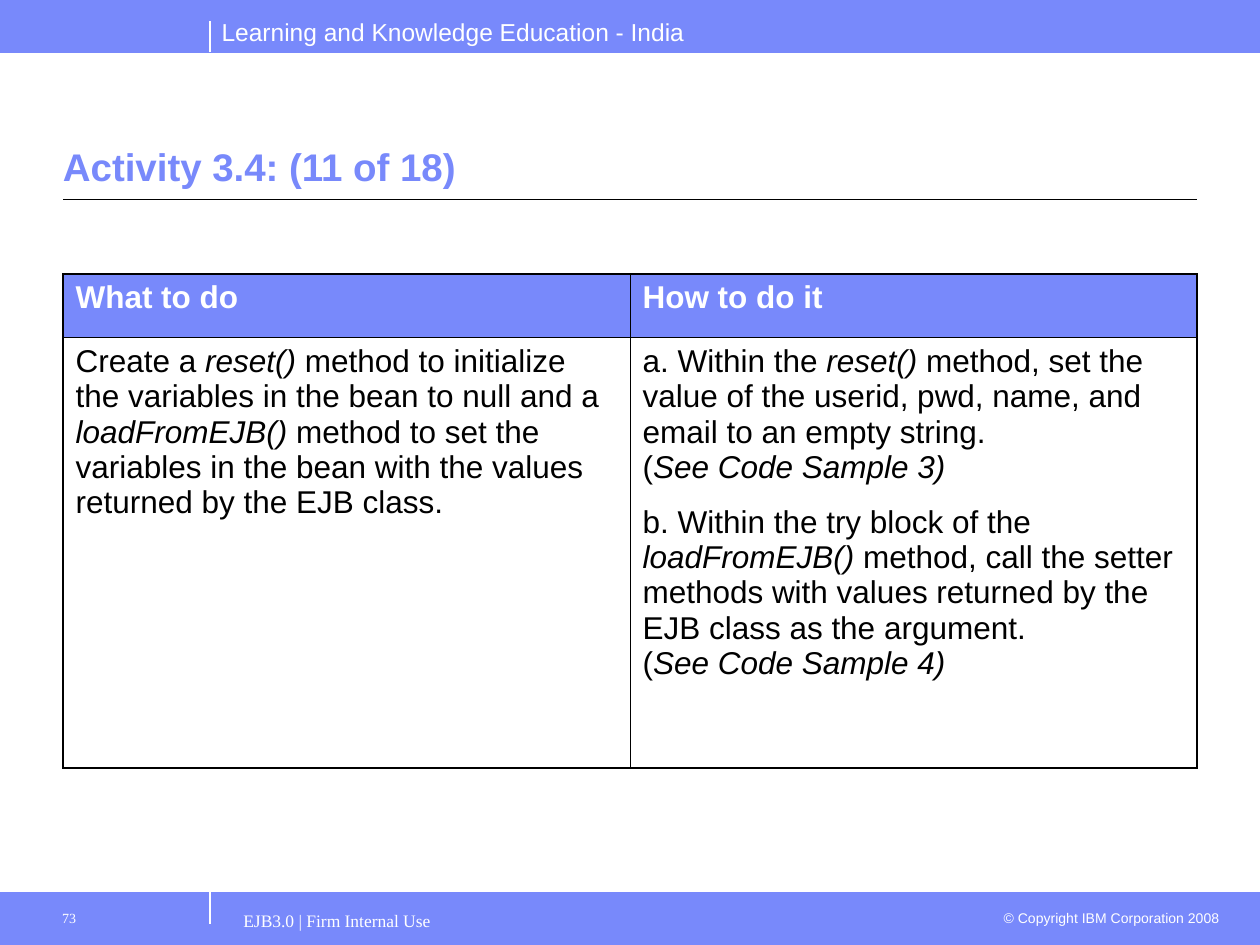
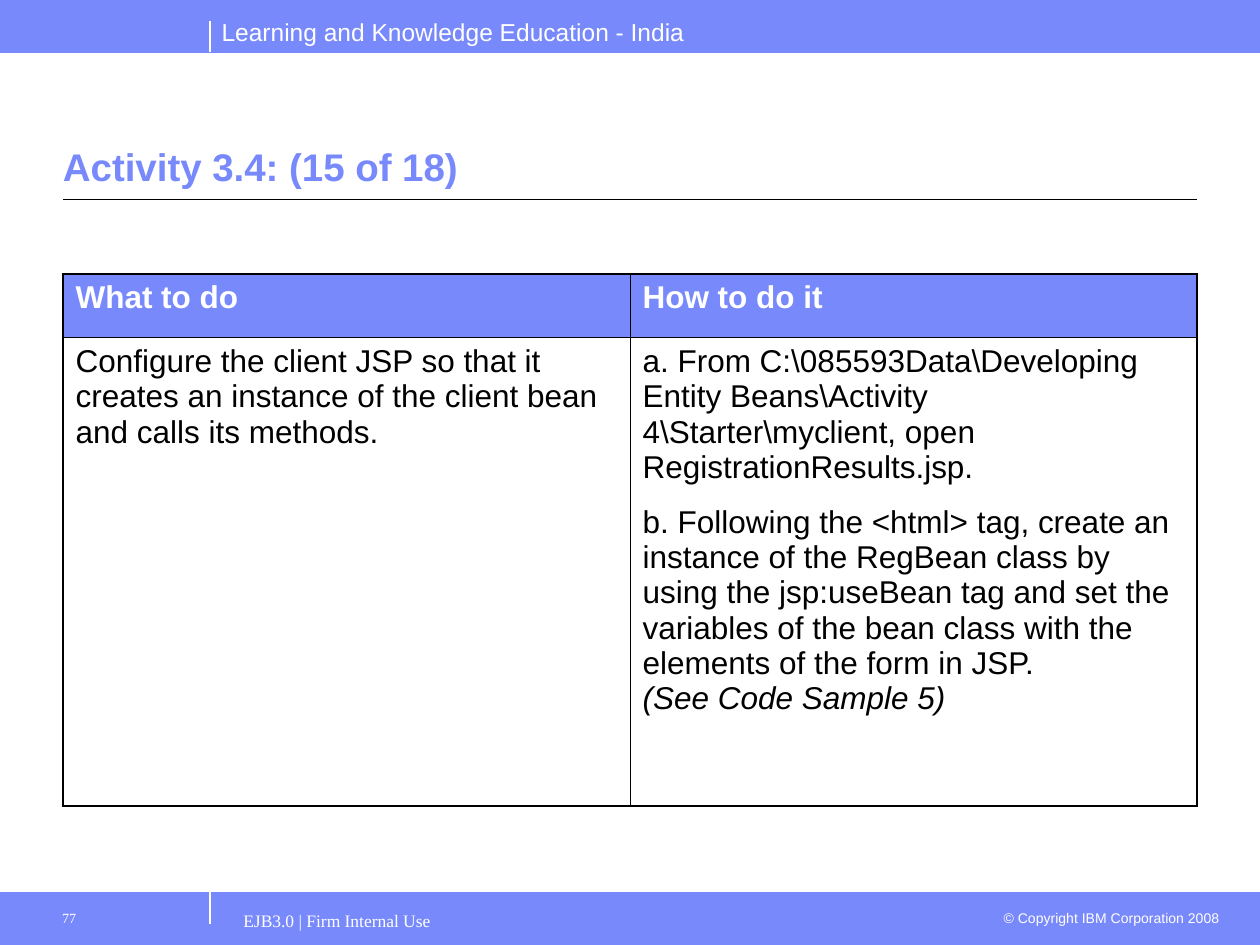
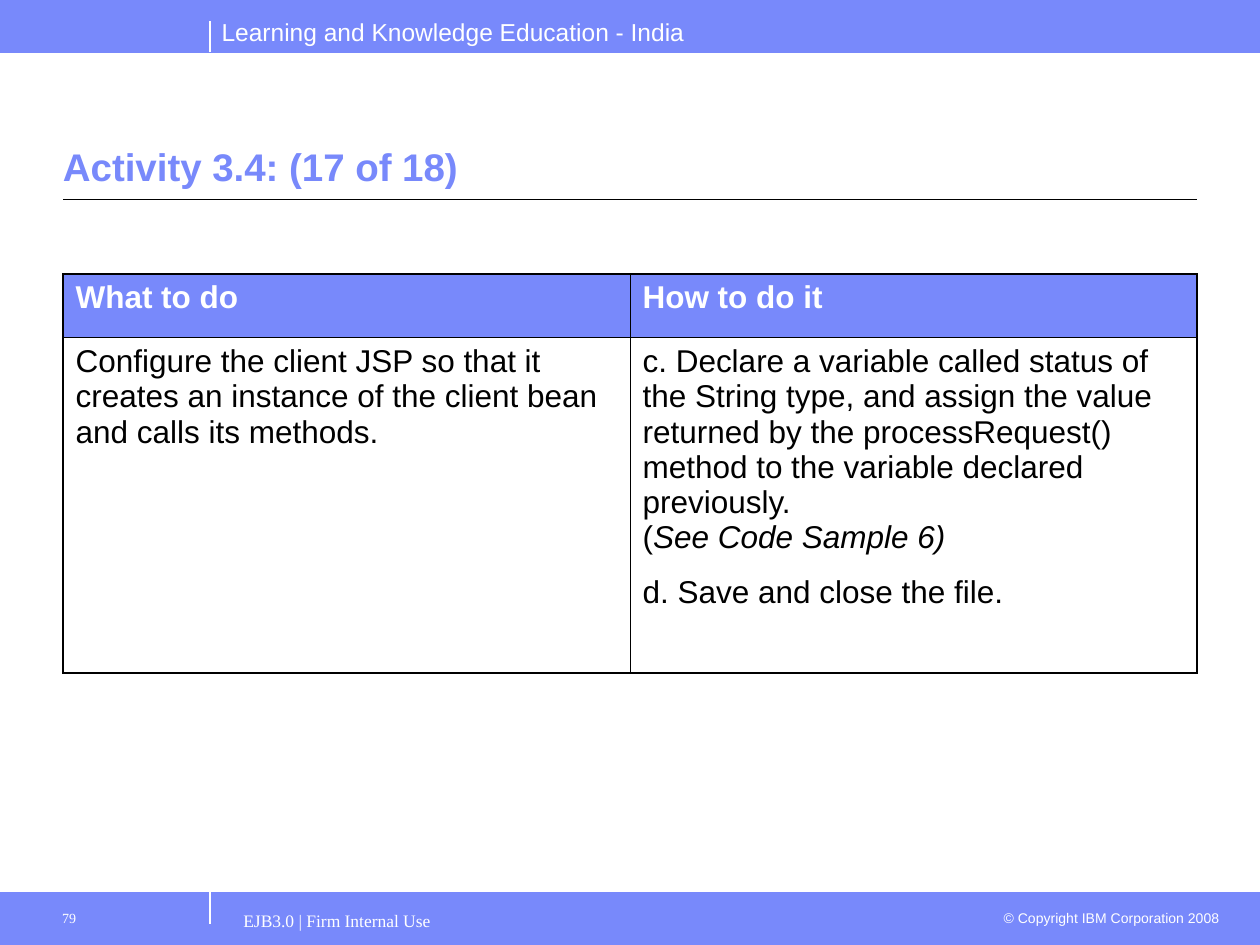
from lxml.etree import SubElement
from pptx import Presentation
from pptx.dml.color import RGBColor
from pptx.enum.shapes import MSO_CONNECTOR, MSO_SHAPE
from pptx.enum.text import MSO_ANCHOR, PP_ALIGN
from pptx.oxml.ns import qn
from pptx.util import Pt

BLUE = RGBColor(0x78, 0x89, 0xFB)
WHITE = RGBColor(0xFF, 0xFF, 0xFF)
BLACK = RGBColor(0x00, 0x00, 0x00)
SANS = "Arial"
SERIF = "Times New Roman"

PAGE_WIDTH, PAGE_HEIGHT = 720, 540
BAND_HEIGHT = 30
FOOTER_TOP = PAGE_HEIGHT - BAND_HEIGHT
DIVIDER_LEFT = 120
MARGIN = 36
CONTENT_WIDTH = PAGE_WIDTH - 2 * MARGIN
TABLE_TOP = 156.5
HEADER_ROW_HEIGHT = 36.5
OUTER_BORDER, INNER_BORDER = 1.08, 0.45
HEADINGS = ["What to do", "How to do it"]

# Each activity: step, page number, body row height, and the two body cells.
# Asterisks enclose italic text.
CONFIGURE_CLIENT = ["Configure the client JSP so that it creates an instance of "
                    "the client bean and calls its methods."]
ACTIVITIES = [
    (11, 73, 246,
     ["Create a *reset()* method to initialize the variables in the bean to null "
      "and a *loadFromEJB()* method to set the variables in the bean with the "
      "values returned by the EJB class."],
     ["a. Within the *reset()* method, set the value of the userid, pwd, name, "
      "and email to an empty string.\n(*See Code Sample 3)*",
      "b. Within the try block of the *loadFromEJB()* method, call the setter "
      "methods with values returned by the EJB class as the argument.\n"
      "(*See Code Sample 4)*"]),
    (15, 77, 267.5,
     CONFIGURE_CLIENT,
     ["a. From C:\\085593Data\\Developing Entity Beans\\Activity "
      "4\\Starter\\myclient, open RegistrationResults.jsp.",
      "b. Following the <html> tag, create an instance of the RegBean class by "
      "using the jsp:useBean tag and set the variables of the bean class with "
      "the elements of the form in JSP.\n*(See Code Sample 5)*"]),
    (17, 79, 191.5,
     CONFIGURE_CLIENT,
     ["c. Declare a variable called status of the String type, and assign the "
      "value returned by the processRequest() method to the variable declared "
      "previously.\n(*See Code Sample 6)*",
      "d. Save and close the file."]),
]


def style_font(font, size, color, name=SANS, bold=False):
    font.size = Pt(size)
    font.name = name
    font.bold = bold
    font.color.rgb = color


def add_band(page, top):
    band = page.shapes.add_shape(MSO_SHAPE.RECTANGLE, 0, Pt(top),
                                 Pt(PAGE_WIDTH), Pt(BAND_HEIGHT))
    band.shadow.inherit = False
    band.fill.solid()
    band.fill.fore_color.rgb = BLUE
    band.line.color.rgb = BLUE
    band.line.width = Pt(0.75)


def add_rule(page, start, end, color, width=0.75):
    rule = page.shapes.add_connector(MSO_CONNECTOR.STRAIGHT,
                                     *(Pt(value) for value in start + end))
    rule.line.color.rgb = color
    rule.line.width = Pt(width)
    SubElement(rule._element.spPr, qn("a:effectLst"))


def add_label(page, place, text, size, color=WHITE, name=SANS, bold=False,
              insets=(7.2, 3.6), align=PP_ALIGN.LEFT, anchor=MSO_ANCHOR.TOP):
    """Add one line of text; insets are the left and top ones."""
    box = page.shapes.add_textbox(*(Pt(value) for value in place))
    frame = box.text_frame
    frame.word_wrap = True
    frame.vertical_anchor = anchor
    frame.margin_left, frame.margin_top = (Pt(value) for value in insets)
    frame.text = text
    para = frame.paragraphs[0]
    para.alignment = align
    style_font(para.runs[0].font, size, color, name, bold)


def add_page_frame(page, number):
    add_band(page, FOOTER_TOP)
    add_band(page, 0)
    add_label(page, (119.5, 6, 300, 24), "Learning and Knowledge Education - India", 14)
    add_label(page, (564, 516, 140, 17), "© Copyright IBM Corporation 2008", 8,
              align=PP_ALIGN.RIGHT)
    for edge in (BAND_HEIGHT, FOOTER_TOP):
        add_rule(page, (0, edge), (PAGE_WIDTH, edge), BLUE, 0.5)
    for top in (BAND_HEIGHT - 18, FOOTER_TOP):
        add_rule(page, (DIVIDER_LEFT, top + 18), (DIVIDER_LEFT, top), WHITE)
    add_rule(page, (MARGIN, 114), (MARGIN + CONTENT_WIDTH, 114), BLACK)
    add_label(page, (132, 515, 432, 25), "EJB3.0 | Firm Internal Use", 10,
              name=SERIF, insets=(7.2, 5))
    add_label(page, (24, 515, 96, 25), str(number), 8, name=SERIF, insets=(11.5, 5))


def add_title(page, text):
    add_label(page, (MARGIN, 45.5, CONTENT_WIDTH, 66), text, 22, BLUE, bold=True,
              insets=(0, 3.6), anchor=MSO_ANCHOR.BOTTOM)


def set_borders(cell, row, column):
    """Draw thick lines on the outside of the two by two table, thin ones inside."""
    thick_sides = {"L": column == 0, "R": column == 1, "T": row == 0, "B": row == 1}
    properties = cell._tc.get_or_add_tcPr()
    for side, thick in thick_sides.items():
        width = OUTER_BORDER if thick else INNER_BORDER
        line = SubElement(properties, qn(f"a:ln{side}"), w=str(int(Pt(width))))
        fill = SubElement(line, qn("a:solidFill"))
        SubElement(fill, qn("a:srgbClr"), val=str(BLACK))


def write_spans(para, text, color, bold):
    """Write text whose italic parts stand between asterisks."""
    for index, part in enumerate(text.split("*")):
        for line_index, line in enumerate(part.split("\n")):
            if line_index:
                para.add_line_break()
            if line:
                span = para.add_run()
                span.text = line
                style_font(span.font, 18, color, bold=bold)
                span.font.italic = index % 2 == 1


def fill_cell(cell, texts, color, bold=False):
    frame = cell.text_frame
    for index, text in enumerate(texts):
        para = frame.add_paragraph() if index else frame.paragraphs[0]
        para.space_after = Pt(11.2)
        write_spans(para, text, color, bold)


def add_step_table(page, body_height, body):
    heights = (HEADER_ROW_HEIGHT, body_height)
    table = page.shapes.add_table(2, 2, Pt(MARGIN), Pt(TABLE_TOP), Pt(CONTENT_WIDTH),
                                  Pt(sum(heights))).table
    table.first_row = table.horz_banding = False
    for row, height in enumerate(heights):
        table.rows[row].height = Pt(height)
        for column in range(2):
            cell = table.cell(row, column)
            set_borders(cell, row, column)
            if row == 0:
                cell.fill.solid()
                cell.fill.fore_color.rgb = BLUE
                fill_cell(cell, [HEADINGS[column]], WHITE, bold=True)
            else:
                cell.fill.background()
                fill_cell(cell, body[column], BLACK)


def main():
    deck = Presentation()
    deck.slide_width, deck.slide_height = Pt(PAGE_WIDTH), Pt(PAGE_HEIGHT)
    for step, number, body_height, *body in ACTIVITIES:
        page = deck.slides.add_slide(deck.slide_layouts[6])
        add_page_frame(page, number)
        add_title(page, f"Activity 3.4: ({step} of 18)")
        add_step_table(page, body_height, body)
    deck.save("out.pptx")


if __name__ == "__main__":
    main()
